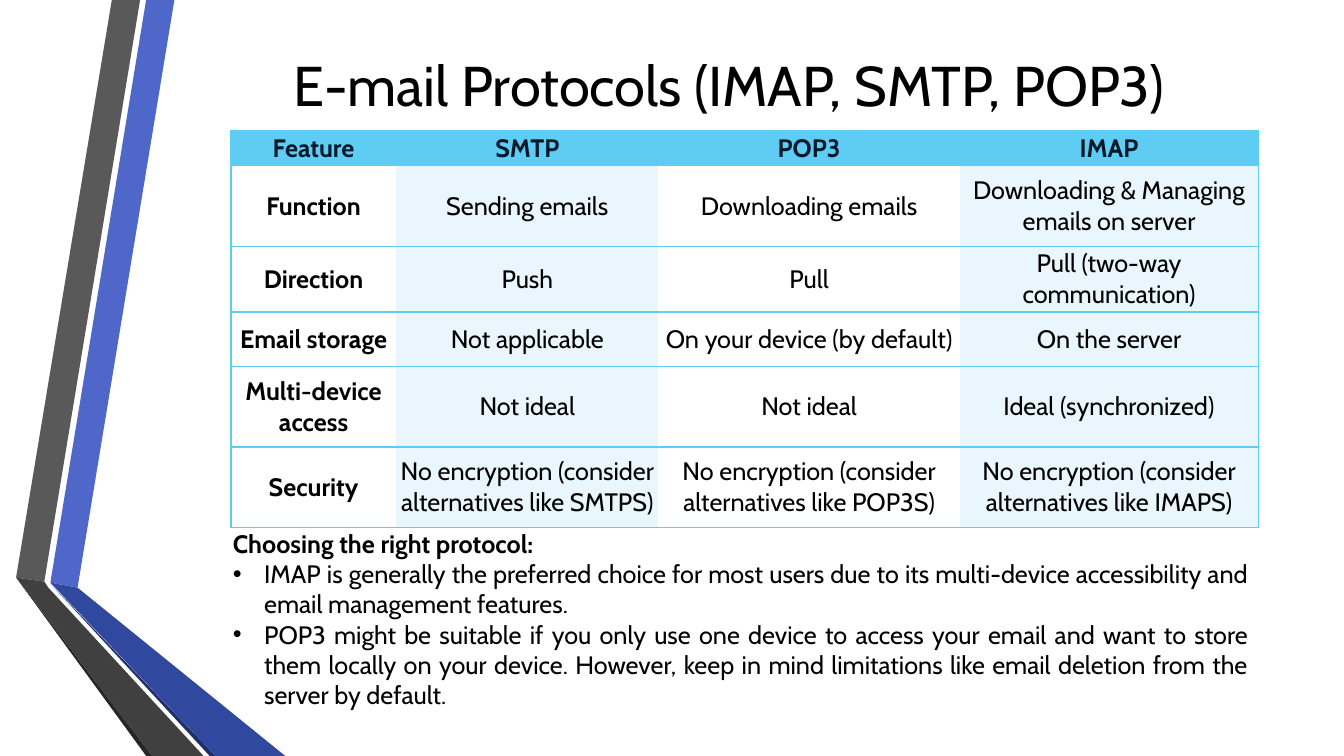
from lxml import etree
from pptx import Presentation
from pptx import util as u
from pptx.dml.color import RGBColor
from pptx.enum import text
from pptx.oxml import ns

BLACK, WHITE = "000000", "FFFFFF"
SKY, PALE, NAVY = "5ECCF3", "EAF6FD", "031828"


def rgb(value):
    return RGBColor.from_string(value)


class SlideBuilder:
    font = "Cabin"
    body_size = 18

    def __init__(self, slide):
        self.slide = slide

    def place(self, shape, left, top, width, height):
        shape.left, shape.top = u.Inches(left), u.Inches(top)
        shape.width, shape.height = u.Inches(width), u.Inches(height)

    def format_paragraph(self, paragraph, alignment, size, color=BLACK, bold=False):
        paragraph.alignment = alignment
        for run in paragraph.runs:
            run.font.name = self.font
            run.font.size = u.Pt(size)
            run.font.bold = bold
            run.font.color.rgb = rgb(color)

    def ribbon(self, points, color):
        (start_x, start_y), *others = [(u.Inches(x), u.Inches(y)) for x, y in points]
        builder = self.slide.shapes.build_freeform(start_x, start_y)
        builder.add_line_segments(others, close=True)
        shape = builder.convert_to_shape()
        shape.shadow.inherit = False
        shape.fill.solid()
        shape.fill.fore_color.rgb = rgb(color)
        shape.line.fill.background()

    def title(self, wording, box):
        shape = self.slide.shapes.title
        self.place(shape, *box)
        frame = shape.text_frame
        frame.text = wording
        frame.vertical_anchor = text.MSO_ANCHOR.MIDDLE
        self.format_paragraph(frame.paragraphs[0], text.PP_ALIGN.CENTER, 40)

    def bulleted_body(self, heading, items, box):
        shape = self.slide.placeholders[1]
        self.place(shape, *box)
        frame = shape.text_frame
        frame.text = "\n".join([heading, *items])
        frame.auto_size = text.MSO_AUTO_SIZE.NONE
        frame.vertical_anchor = text.MSO_ANCHOR.TOP
        for index, paragraph in enumerate(frame.paragraphs):
            is_heading = index == 0
            self.format_paragraph(paragraph, text.PP_ALIGN.JUSTIFY, self.body_size, bold=is_heading)
            paragraph.space_before = u.Pt(0)
            self.bullet(paragraph, None if is_heading else "•")

    def bullet(self, paragraph, character):
        properties = paragraph._p.get_or_add_pPr()
        indent = u.Inches(0.31) if character else 0
        properties.set("marL", str(indent))
        properties.set("indent", str(-indent))
        if character:
            etree.SubElement(properties, ns.qn("a:buFont"), typeface="Arial")
            etree.SubElement(properties, ns.qn("a:buChar"), char=character)
        else:
            etree.SubElement(properties, ns.qn("a:buNone"))

    def borders(self, cell, visible_sides):
        properties = cell._tc.get_or_add_tcPr()
        for side in "LRTB":
            line = etree.SubElement(properties, ns.qn(f"a:ln{side}"), w=str(u.Pt(1)))
            if side in visible_sides:
                fill = etree.SubElement(line, ns.qn("a:solidFill"))
                etree.SubElement(fill, ns.qn("a:srgbClr"), val=SKY)
            else:
                etree.SubElement(line, ns.qn("a:noFill"))

    def table(self, rows, left, top, widths, heights):
        table = self.slide.shapes.add_table(
            len(rows), len(widths), u.Inches(left), u.Inches(top),
            u.Inches(sum(widths)), u.Inches(sum(heights))).table
        for column, width in zip(table.columns, widths):
            column.width = u.Inches(width)
        for row, height in zip(table.rows, heights):
            row.height = u.Inches(height)
        last = len(widths) - 1
        for i, row in enumerate(rows):
            for j, wording in enumerate(row):
                cell = table.cell(i, j)
                cell.text_frame.text = wording
                header = i == 0
                self.format_paragraph(
                    cell.text_frame.paragraphs[0], text.PP_ALIGN.CENTER, self.body_size,
                    NAVY if header else BLACK, bold=header or j == 0)
                cell.vertical_anchor = text.MSO_ANCHOR.BOTTOM if header else text.MSO_ANCHOR.MIDDLE
                cell.margin_left = cell.margin_right = u.Inches(0.03)
                cell.margin_top = cell.margin_bottom = u.Inches(0.02)
                self.borders(cell, "TB" + "L" * (j == 0) + "R" * (j == last))
                cell.fill.solid()
                cell.fill.fore_color.rgb = rgb(SKY if header else PALE if j % 2 else WHITE)


RIBBONS = [
    ("4E67C8", [(0.5, 5.78), (0.77, 5.83), (1.73, 0), (1.45, 0)]),
    ("595959", [(1.39, 0), (1.11, 0), (0.16, 5.73), (0.44, 5.77)]),
    ("262626", [(0.16, 5.73), (1.45, 7.5), (1.51, 7.5)]),
    ("21306A", [(0.5, 5.79), (2.08, 7.5), (2.14, 7.5)]),
    ("31489F", [(0.5, 5.78), (2.14, 7.5), (2.83, 7.5), (0.77, 5.83)]),
    ("404040", [(2.02, 7.5), (0.48, 5.83), (0.44, 5.77), (0.16, 5.73), (1.51, 7.5)]),
]

PROTOCOLS = [
    ("Feature", "SMTP", "POP3", "IMAP"),
    ("Function", "Sending emails", "Downloading emails", "Downloading & Managing emails on server"),
    ("Direction", "Push", "Pull", "Pull (two-way communication)"),
    ("Email storage", "Not applicable", "On your device (by default)", "On the server"),
    ("Multi-device access", "Not ideal", "Not ideal", "Ideal (synchronized)"),
    ("Security", *(f"No encryption (consider alternatives like {name}S)"
                   for name in ("SMTP", "POP3", "IMAP"))),
]

ADVICE = [
    "IMAP is generally the preferred choice for most users due to its multi-device "
    "accessibility and email management features.",
    "POP3 might be suitable if you only use one device to access your email and want to "
    "store them locally on your device. However, keep in mind limitations like email "
    "deletion from the server by default.",
]


def main():
    presentation = Presentation()
    presentation.slide_width, presentation.slide_height = u.Inches(13.33), u.Inches(7.5)
    builder = SlideBuilder(presentation.slides.add_slide(presentation.slide_layouts[1]))

    # Folded ribbons on the left
    for color, points in RIBBONS:
        builder.ribbon(points, color)

    # Title
    builder.title("E-mail Protocols (IMAP, SMTP, POP3)", (1.75, 0, 10.96, 1.66))

    # Comparison table
    builder.table(PROTOCOLS, 2.29, 1.3, widths=(1.64, 2.6, 2.99, 2.96),
                  heights=(0.34, 0.8, 0.64, 0.54, 0.8, 0.8))

    # Advice below the table
    builder.bulleted_body("Choosing the right protocol:", ADVICE, (2.21, 5.19, 10.27, 1.92))

    presentation.save("out.pptx")


if __name__ == "__main__":
    main()
